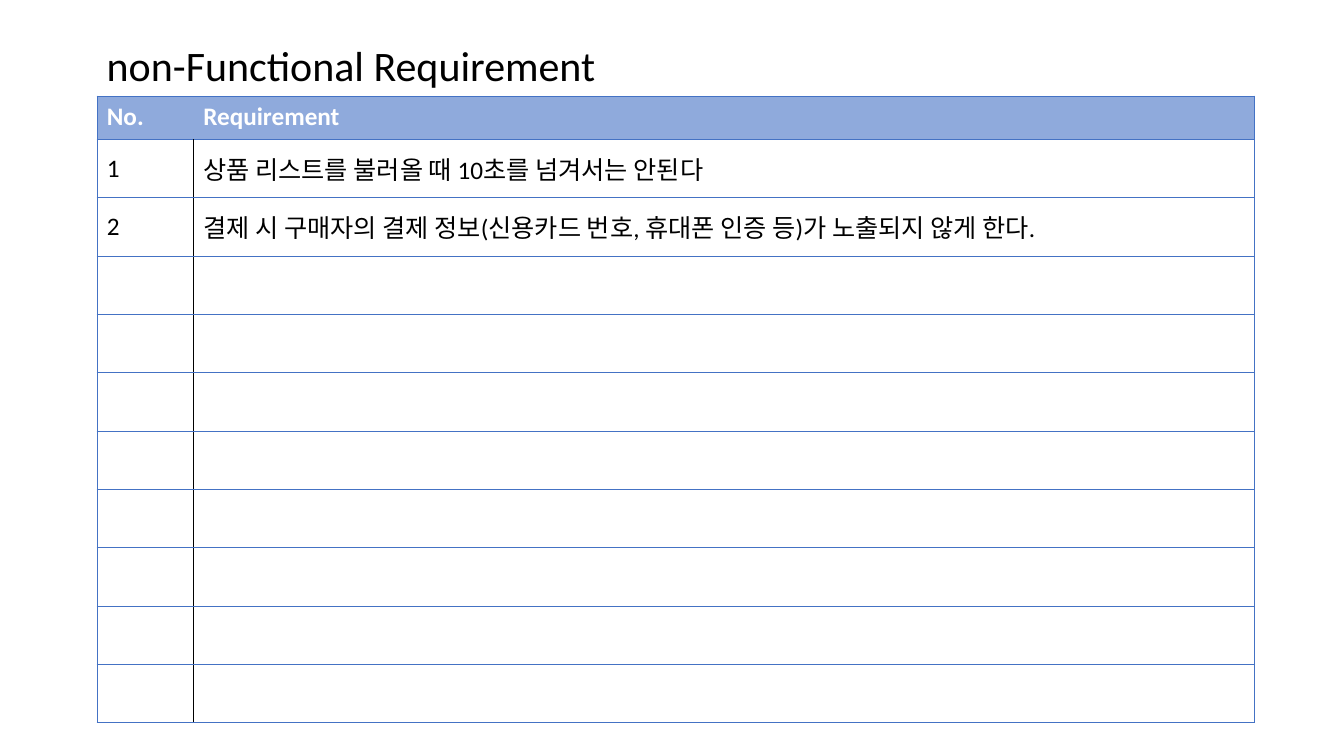
from dataclasses import dataclass

from lxml import etree
from pptx import Presentation
from pptx.dml.color import RGBColor
from pptx.enum import text
from pptx.oxml import ns
from pptx.util import Cm, Pt


@dataclass(frozen=True)
class Theme:
    font: str = "Calibri"
    title_size: int = 30
    body_size: int = 18
    ink: str = "000000"
    header_ink: str = "FFFFFF"
    header_fill: str = "8FAADC"
    grid: str = "4472C4"
    grid_width: float = 0.5
    divider_width: float = 1


def format_text(tf, size, color, bold=False):
    for r in tf.paragraphs[0].runs:
        r.font.name = theme.font
        r.font.size = Pt(size)
        r.font.bold = bold
        r.font.color.rgb = RGBColor.from_string(color)


def add_border(cell, side, color, width):
    ln = etree.SubElement(cell._tc.get_or_add_tcPr(), ns.qn(f"a:ln{side}"), w=str(Pt(width)))
    fill = etree.SubElement(ln, ns.qn("a:solidFill"))
    etree.SubElement(fill, ns.qn("a:srgbClr"), val=color)


theme = Theme()
NO_GRID_STYLE = "{2D5ABB26-0587-4C30-8999-92F81FD0307C}"
requirements = [
    "상품 리스트를 불러올 때 10초를 넘겨서는 안된다",
    "결제 시 구매자의 결제 정보(신용카드 번호, 휴대폰 인증 등)가 노출되지 않게 한다.",
]
body_rows = 10
left, top = Cm(2.44), Cm(2.42)
column_widths = [Cm(2.43), Cm(26.74)]
header_height, row_height = Cm(1.09), Cm(1.47)

prs = Presentation()
prs.slide_width, prs.slide_height = Cm(33.87), Cm(19.05)
s = prs.slides.add_slide(prs.slide_layouts[6])

frame = s.shapes.add_table(
    body_rows + 1, 2, left, top, sum(column_widths), header_height + body_rows * row_height
)
table = frame.table
table._tbl.tblPr.find(ns.qn("a:tableStyleId")).text = NO_GRID_STYLE
table.horz_banding = False
for column, width in zip(table.columns, column_widths):
    column.width = width

rows = [("No.", "Requirement")]
rows += [(str(n), requirement) for n, requirement in enumerate(requirements, 1)]
rows += [("", "")] * (body_rows + 1 - len(rows))

for i, values in enumerate(rows):
    header = i == 0
    table.rows[i].height = header_height if header else row_height
    for j, value in enumerate(values):
        cell = table.cell(i, j)
        for side in "LRTB":
            inner = (side, j) in (("R", 0), ("L", 1))
            if inner and not header:
                add_border(cell, side, theme.ink, theme.divider_width)
            elif not inner:
                add_border(cell, side, theme.grid, theme.grid_width)
        if header:
            cell.fill.solid()
            cell.fill.fore_color.rgb = RGBColor.from_string(theme.header_fill)
        else:
            cell.fill.background()
            cell.vertical_anchor = text.MSO_ANCHOR.MIDDLE
        cell.text_frame.text = value
        format_text(cell.text_frame, theme.body_size, theme.header_ink if header else theme.ink, header)

title = s.shapes.add_textbox(left, Cm(0.86), Cm(12.95), Cm(1.55))
tf = title.text_frame
tf.word_wrap = False
tf.auto_size = text.MSO_AUTO_SIZE.SHAPE_TO_FIT_TEXT
tf.text = "non-Functional Requirement"
format_text(tf, theme.title_size, theme.ink)

prs.save("out.pptx")
